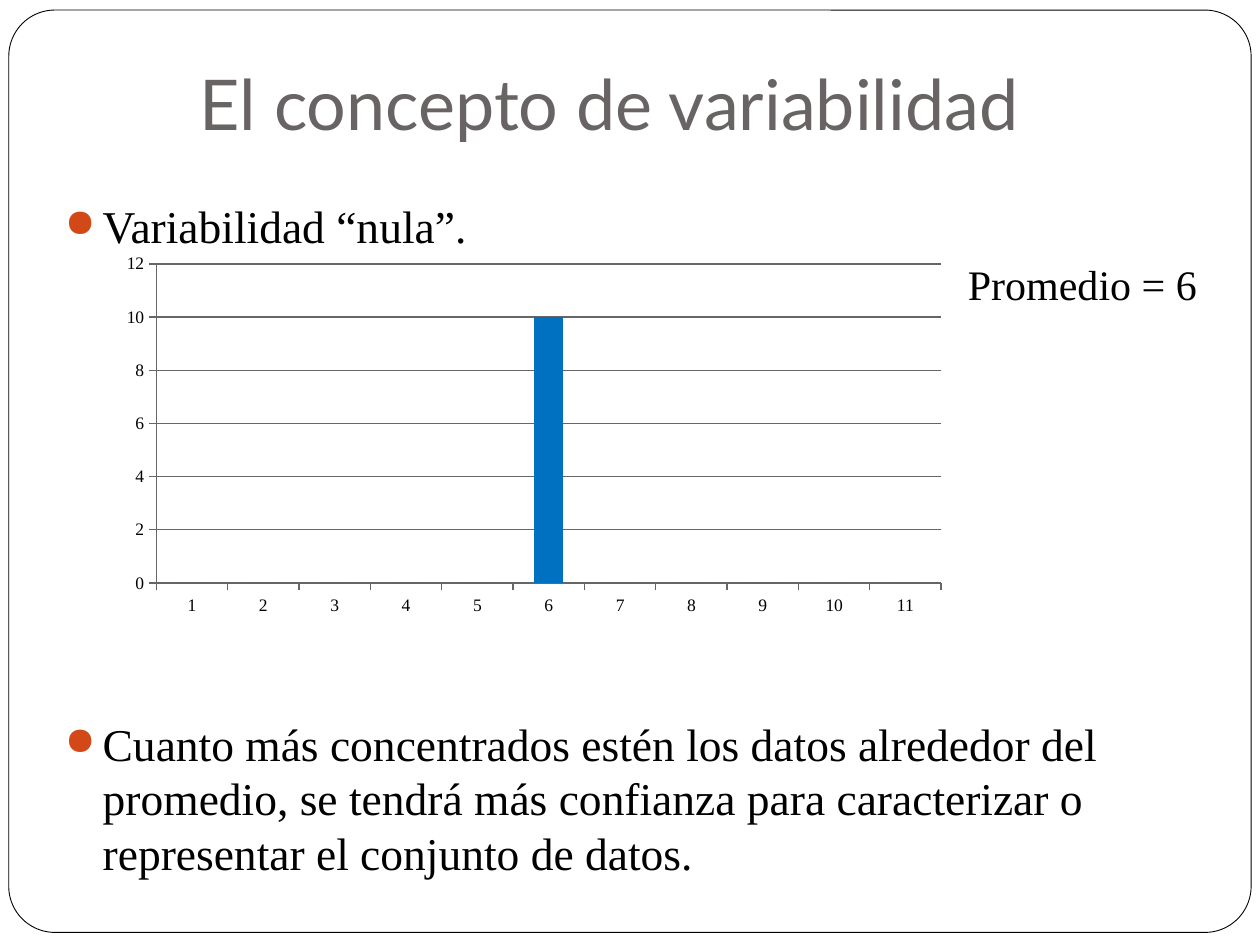
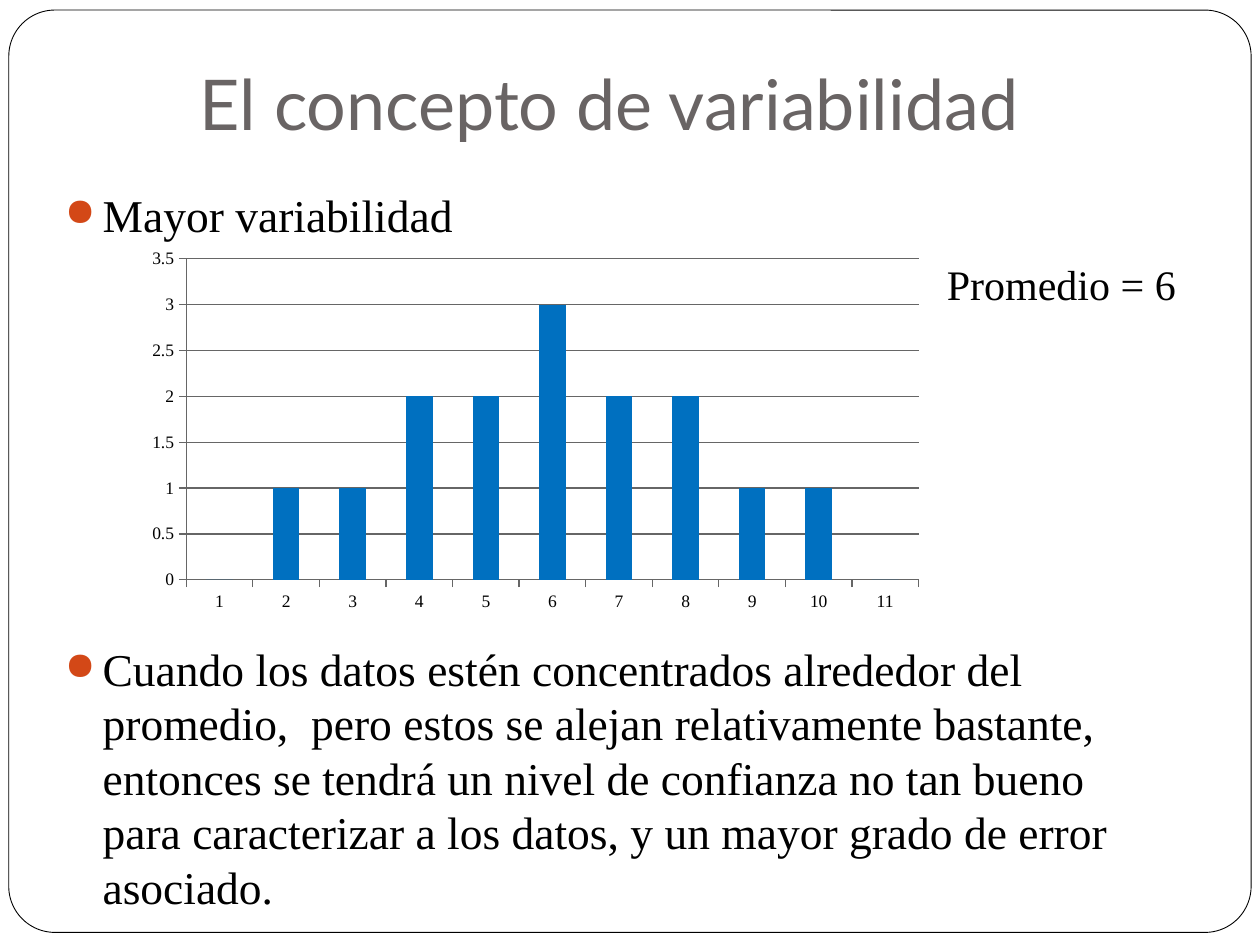
from dataclasses import dataclass

from lxml.etree import SubElement
from pptx import Presentation
from pptx.chart.data import CategoryChartData
from pptx.dml.color import RGBColor
from pptx.enum.chart import XL_CHART_TYPE as ChartType, XL_TICK_MARK as TickMark
from pptx.enum.shapes import MSO_SHAPE as Preset
from pptx.enum.text import MSO_ANCHOR as Anchor, PP_ALIGN as Align
from pptx.oxml.ns import qn
from pptx.util import Inches, Pt


@dataclass(frozen=True)
class Theme:
    paper: str = "FFFFFF"
    ink: str = "000000"
    heading: str = "696464"
    accent: str = "D34817"
    column: str = "0070C0"
    grid: str = "666666"
    heading_font: str = "Lato"
    text_font: str = "Times New Roman"
    heading_size: float = 40
    body_size: float = 26
    note_size: float = 24
    axis_size: float = 10
    line_height: float = 31.2
    space_before: float = 5.8


THEME = Theme()
WIDTH, HEIGHT = Inches(10), Inches(7.5)
COLUMNS, ROWS = 120, 90


def color(code):
    return RGBColor.from_string(code)


def area(left, top, columns, rows):
    return (
        int(WIDTH * left / COLUMNS),
        int(HEIGHT * top / ROWS),
        int(WIDTH * columns / COLUMNS),
        int(HEIGHT * rows / ROWS),
    )


def style_font(font, name, size, code):
    font.name = name
    font.size = Pt(size)
    font.color.rgb = color(code)


def add_text(page, place, paragraphs, name, size, code):
    box = page.shapes.add_textbox(*area(*place))
    frame = box.text_frame
    frame.word_wrap = True
    frame.text = "\n".join(paragraphs)
    for para in frame.paragraphs:
        style_font(para.font, name, size, code)
    return frame


def add_frame(page):
    frame = page.shapes.add_shape(
        Preset.ROUNDED_RECTANGLE, *area(0.84, 0.96, 118.32, 87.84)
    )
    frame.adjustments[0] = 0.05
    frame.shadow.inherit = False
    frame.fill.solid()
    frame.fill.fore_color.rgb = color(THEME.paper)
    frame.line.color.rgb = color(THEME.ink)
    frame.line.width = Pt(0.5)


def add_title(page, title):
    frame = add_text(
        page, (7, 0, 102, 15), [title],
        THEME.heading_font, THEME.heading_size, THEME.heading,
    )
    frame.vertical_anchor = Anchor.BOTTOM
    frame.margin_bottom = Inches(0.1)
    frame.paragraphs[0].alignment = Align.CENTER


def set_bullet(para):
    properties = para._p.get_or_add_pPr()
    properties.set("marL", str(Inches(0.3)))
    properties.set("indent", str(-Inches(0.3)))
    tint = SubElement(properties, qn("a:buClr"))
    SubElement(tint, qn("a:srgbClr")).set("val", THEME.accent)
    SubElement(properties, qn("a:buSzPct")).set("val", "85000")
    SubElement(properties, qn("a:buChar")).set("char", "●")


def add_bullets(page, place, heading, conclusion, chart_lines):
    frame = add_text(
        page, place, [heading, conclusion],
        THEME.text_font, THEME.body_size, THEME.ink,
    )
    frame.margin_top = Inches(0.07)
    gap = chart_lines * (THEME.line_height + THEME.space_before)
    for para, extra in zip(frame.paragraphs, (0, gap)):
        para.line_spacing = Pt(THEME.line_height)
        para.space_before = Pt(THEME.space_before + extra)
        set_bullet(para)


def set_plot_layout(chart, shares):
    plot_area = chart._chartSpace.chart.plotArea
    layout = plot_area.find(qn("c:layout"))
    if layout is None:
        layout = SubElement(plot_area, qn("c:layout"))
        plot_area.insert(0, layout)
    manual = SubElement(layout, qn("c:manualLayout"))
    settings = [("layoutTarget", "inner"), ("xMode", "edge"), ("yMode", "edge")]
    settings += zip("xywh", shares)
    for tag, value in settings:
        SubElement(manual, qn(f"c:{tag}")).set("val", str(value))


def style_line(line):
    line.color.rgb = color(THEME.grid)
    line.width = Pt(0.75)


def add_histogram(page, place, counts, top, step, plot_shares=None):
    data = CategoryChartData()
    data.categories = [str(value) for value in range(1, len(counts) + 1)]
    data.add_series("Series 1", counts)
    chart = page.shapes.add_chart(
        ChartType.COLUMN_CLUSTERED, *area(*place), data
    ).chart
    chart.has_legend = False
    chart.has_title = False
    style_font(chart.font, THEME.text_font, THEME.axis_size, THEME.ink)
    plot = chart.plots[0]
    plot.gap_width = 150
    plot.vary_by_categories = False
    fill = plot.series[0].format.fill
    fill.solid()
    fill.fore_color.rgb = color(THEME.column)
    for axis in (chart.category_axis, chart.value_axis):
        axis.major_tick_mark = TickMark.OUTSIDE
        axis.minor_tick_mark = TickMark.NONE
        style_line(axis.format.line)
    scale = chart.value_axis
    scale.minimum_scale, scale.maximum_scale = 0, top
    scale.major_unit = step
    scale.has_major_gridlines = True
    style_line(scale.major_gridlines.format.line)
    if plot_shares:
        set_plot_layout(chart, plot_shares)


def add_average(page, left):
    add_text(
        page, (left, 24, 26, 6), ["Promedio = 6"],
        THEME.text_font, THEME.note_size, THEME.ink,
    )


def add_page(deck):
    page = deck.slides.add_slide(deck.slide_layouts[6])
    add_frame(page)
    add_title(page, "El concepto de variabilidad")
    return page


def main():
    deck = Presentation()
    deck.slide_width, deck.slide_height = WIDTH, HEIGHT

    page = add_page(deck)
    add_bullets(
        page, (5, 18, 106, 66), "Variabilidad “nula”.",
        "Cuanto más concentrados estén los datos alrededor del promedio, "
        "se tendrá más confianza para caracterizar o representar el conjunto "
        "de datos.",
        chart_lines=7,
    )
    add_histogram(
        page, (9, 24, 84, 38), [0, 0, 0, 0, 0, 10, 0, 0, 0, 0, 0],
        top=12, step=2, plot_shares=(0.07, 0.03, 0.89, 0.8),
    )
    add_average(page, 91)

    page = add_page(deck)
    add_bullets(
        page, (5, 17, 107, 70), "Mayor variabilidad",
        "Cuando los datos estén concentrados alrededor del promedio,  pero "
        "estos se alejan relativamente bastante, entonces se tendrá un nivel "
        "de confianza no tan bueno para caracterizar a los datos, y un mayor "
        "grado de error asociado.",
        chart_lines=6,
    )
    add_histogram(
        page, (13, 23, 76, 36), [0, 1, 1, 2, 2, 3, 2, 2, 1, 1, 0],
        top=3.5, step=0.5,
    )
    add_average(page, 89)

    deck.save("out.pptx")


if __name__ == "__main__":
    main()
